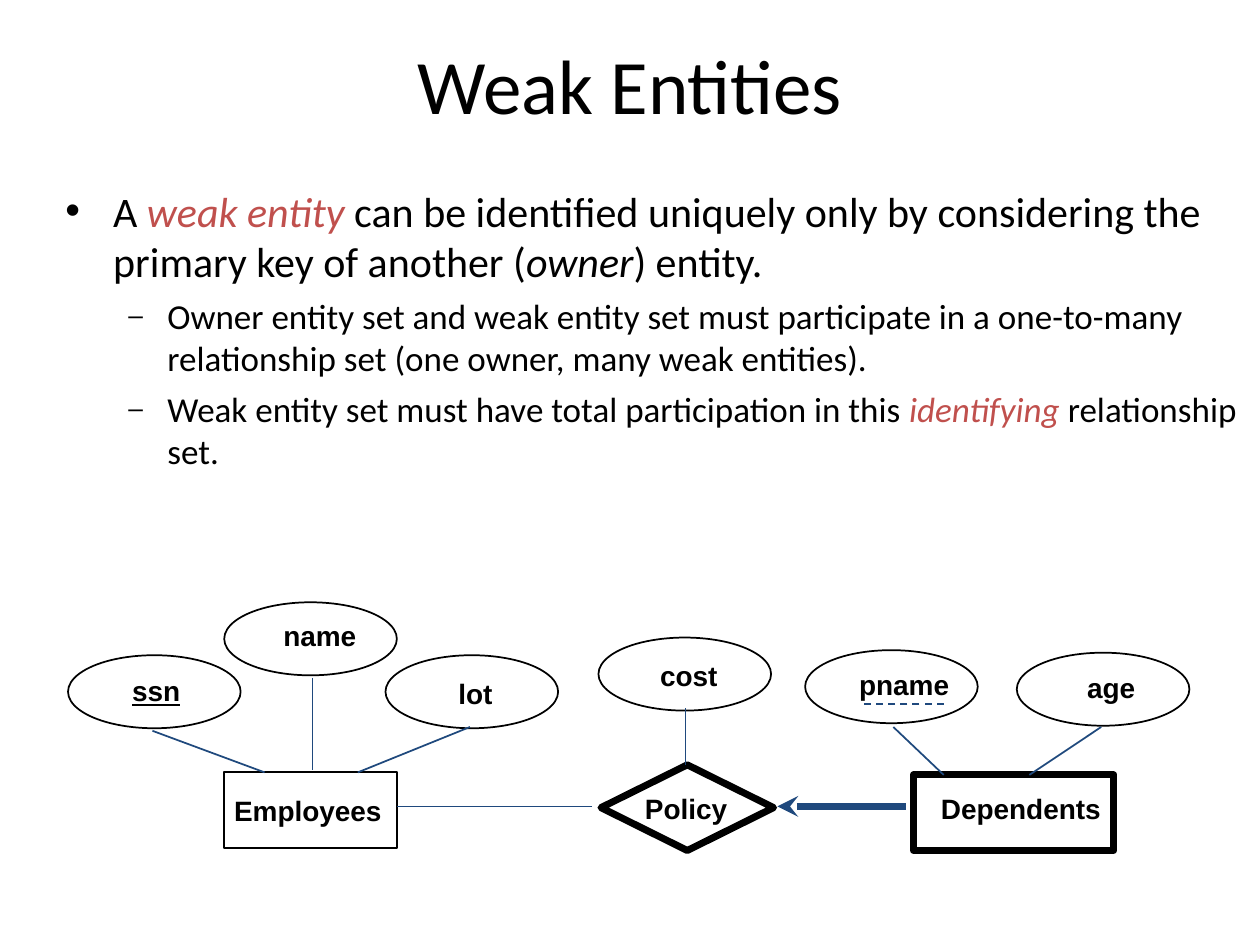
from lxml import etree
from pptx import Presentation
from pptx.dml.color import RGBColor
from pptx.enum.dml import MSO_LINE
from pptx.enum.shapes import MSO_CONNECTOR, MSO_SHAPE
from pptx.enum.text import MSO_ANCHOR, MSO_AUTO_SIZE, PP_ALIGN
from pptx.oxml.ns import qn
from pptx.util import Inches, Pt

BLACK, RED, NAVY = "000000", "C0504D", "1F497D"
ATTRIBUTE_SIZE = (1.37, 0.58)


def color(hex_string):
    return RGBColor.from_string(hex_string)


def add_run(paragraph, text, size=16, font="Arial", fill=BLACK,
            bold=False, italic=False, underline=False):
    run = paragraph.add_run()
    run.text = text
    run.font.size, run.font.name = Pt(size), font
    run.font.bold, run.font.italic, run.font.underline = bold, italic, underline
    run.font.color.rgb = color(fill)


def add_frame(slide, left, top, width, height, wrap=True):
    """Add a text box that either wraps its text or grows to fit one line."""
    box = slide.shapes.add_textbox(*map(Inches, (left, top, width, height)))
    frame = box.text_frame
    frame.word_wrap = wrap
    frame.auto_size = MSO_AUTO_SIZE.NONE if wrap else MSO_AUTO_SIZE.SHAPE_TO_FIT_TEXT
    return frame


def add_title(slide, left, top, width, height):
    frame = add_frame(slide, left, top, width, height)
    frame.vertical_anchor = MSO_ANCHOR.MIDDLE
    heading = frame.paragraphs[0]
    heading.alignment = PP_ALIGN.CENTER
    add_run(heading, "Weak Entities", size=44, font="Calibri")


def set_bullet(paragraph, char, margin, hanging, percent):
    props = paragraph._p.get_or_add_pPr()
    props.set("marL", str(Inches(margin)))
    props.set("indent", str(-Inches(hanging)))
    bullet_color = etree.SubElement(props, qn("a:buClr"))
    etree.SubElement(bullet_color, qn("a:srgbClr"), val=BLACK)
    etree.SubElement(props, qn("a:buSzPct"), val=str(percent * 1000))
    etree.SubElement(props, qn("a:buFont"), typeface="Arial")
    etree.SubElement(props, qn("a:buChar"), char=char)


def add_definition(slide, left, top, width, height):
    term = {"fill": RED, "italic": True}
    points = [
        (0, [("A ", {}), ("weak entity ", term),
             ("can be identified uniquely only by considering the "
              "primary key of another (", {}),
             ("owner", {"italic": True}), (") entity.", {})]),
        (1, [("Owner entity set and weak entity set must participate in a "
              "one-to-many relationship set (one owner, many weak entities).", {})]),
        (1, [("Weak entity set must have total participation in this ", {}),
             ("identifying ", term), ("relationship set.", {})]),
    ]
    # size, space before, bullet, margin, hanging indent, bullet percent
    levels = [(24, 6, "•", 0.38, 0.38, 100), (20, 5, "–", 0.81, 0.31, 75)]
    frame = add_frame(slide, left, top, width, height)
    for index, (level, runs) in enumerate(points):
        point = frame.add_paragraph() if index else frame.paragraphs[0]
        size, space, *bullet = levels[level]
        point.level = level
        point.space_before = Pt(space)
        set_bullet(point, *bullet)
        for text, style in runs:
            add_run(point, text, size=size, font="Calibri", **style)


def add_node(slide, kind, box, label, label_box, weight=1, underline=False):
    outline = slide.shapes.add_shape(kind, *map(Inches, box))
    outline.shadow.inherit = False
    outline.fill.background()
    outline.line.color.rgb = color(BLACK)
    outline.line.width = Pt(weight)
    frame = add_frame(slide, *label_box, 0.36, wrap=False)
    add_run(frame.paragraphs[0], label, bold=True, underline=underline)


def add_link(slide, start, end, weight=1, dash=None, arrow_at_start=False):
    link = slide.shapes.add_connector(
        MSO_CONNECTOR.STRAIGHT, *map(Inches, (*start, *end)))
    link.line.color.rgb = color(NAVY)
    link.line.width = Pt(weight)
    if dash:
        link.line.dash_style = dash
    if arrow_at_start:
        etree.SubElement(link.line._get_or_add_ln(), qn("a:headEnd"), type="stealth")
    etree.SubElement(link._element.spPr, qn("a:effectLst"))


def add_er_diagram(slide, left, top):
    """Draw the diagram from its top left corner; parts are offset from it."""
    def at(x, y):
        return left + x, top + y

    # name, oval corner, label corner, label width
    attributes = [
        ("ssn", (0, 0.42), (0.41, 0.52), 0.58),
        ("name", (1.24, 0), (1.61, 0.08), 0.78),
        ("lot", (2.52, 0.42), (3, 0.54), 0.47),
        ("cost", (4.21, 0.28), (4.6, 0.4), 0.67),
        ("pname", (5.85, 0.38), (6.18, 0.47), 0.93),
        ("age", (7.53, 0.4), (7.99, 0.49), 0.58),
    ]
    for name, corner, label, width in attributes:
        add_node(slide, MSO_SHAPE.OVAL, (*at(*corner), *ATTRIBUTE_SIZE),
                 name, (*at(*label), width), underline=name == "ssn")

    # name, shape, corner, size, label corner, label width, line weight
    sets = [
        ("Employees", MSO_SHAPE.RECTANGLE, (1.24, 1.35), (1.37, 0.6), (1.22, 1.47), 1.37, 1),
        ("Policy", MSO_SHAPE.DIAMOND, (4.23, 1.29), (1.37, 0.68), (4.48, 1.45), 0.85, 4),
        ("Dependents", MSO_SHAPE.RECTANGLE, (6.71, 1.37), (1.59, 0.6), (6.83, 1.45), 1.47, 4),
    ]
    for name, kind, corner, size, label, width, weight in sets:
        add_node(slide, kind, (*at(*corner), *size),
                 name, (*at(*label), width), weight=weight)

    links = [
        ((0.67, 1.02), (1.56, 1.35)),
        ((1.94, 0.6), (1.94, 1.33)),
        ((3.19, 0.99), (2.3, 1.35)),
        ((4.9, 1.29), (4.9, 0.84)),
        ((6.55, 0.99), (6.95, 1.37)),
        ((8.2, 0.99), (7.63, 1.37)),
        ((4.16, 1.62), (2.61, 1.62)),
    ]
    for start, end in links:
        add_link(slide, at(*start), at(*end))
    add_link(slide, at(6.95, 0.81), at(6.28, 0.81), dash=MSO_LINE.DASH)
    add_link(slide, at(5.63, 1.62), at(6.65, 1.62), weight=4, arrow_at_start=True)


def main():
    deck = Presentation()
    deck.slide_width, deck.slide_height = Inches(10), Inches(7.5)
    slide = deck.slides.add_slide(deck.slide_layouts[6])
    add_title(slide, 0.33, 0.25, 9.34, 0.83)
    add_definition(slide, 0.42, 1.42, 9.58, 2.5)
    add_er_diagram(slide, 0.54, 4.78)
    deck.save("out.pptx")


if __name__ == "__main__":
    main()
